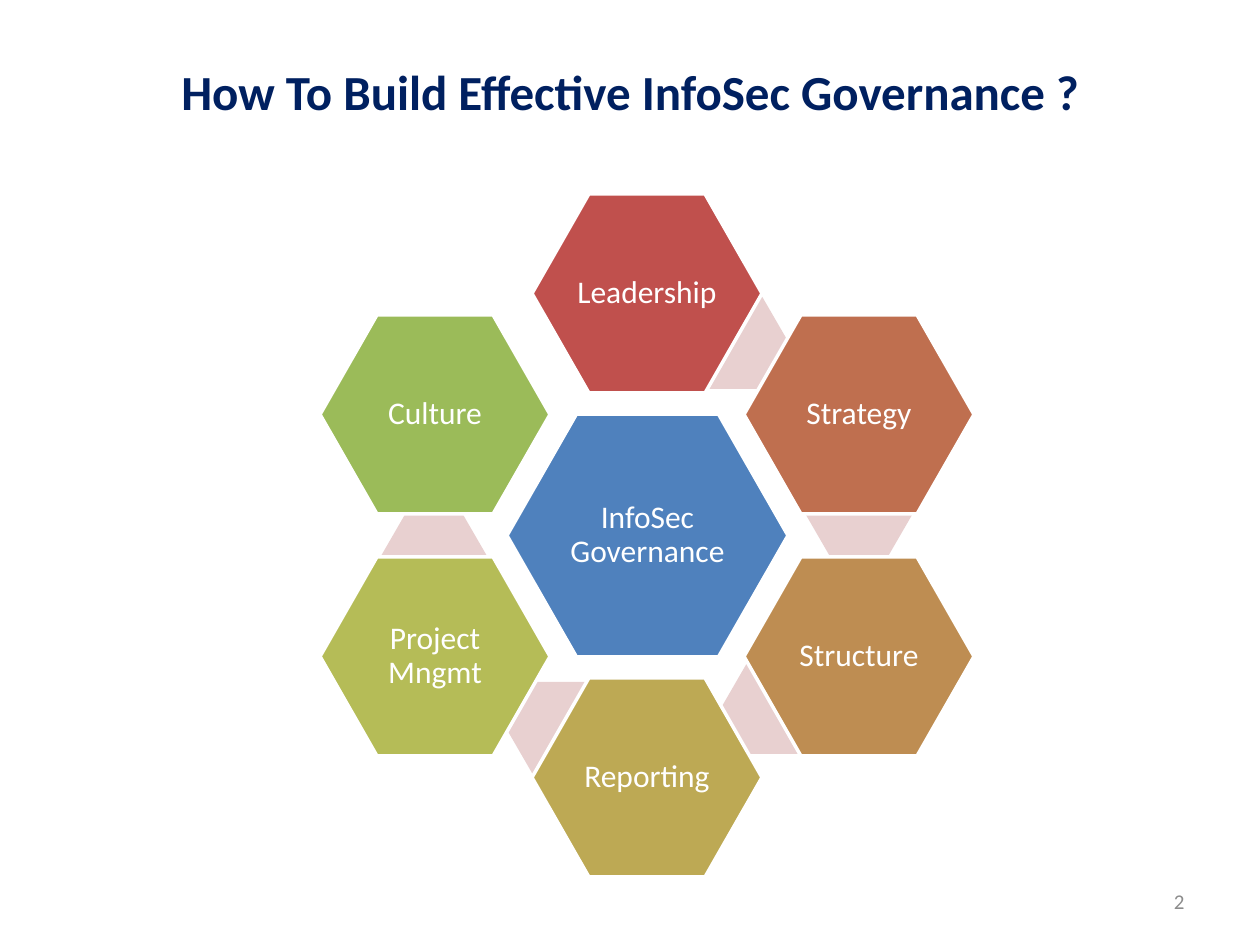
from typing import NamedTuple, Optional

from pptx import Presentation
from pptx.dml.color import RGBColor
from pptx.enum.shapes import MSO_SHAPE
from pptx.enum.text import MSO_ANCHOR, PP_ALIGN
from pptx.util import Emu, Pt

HEXAGON = MSO_SHAPE.HEXAGON
MIDDLE = MSO_ANCHOR.MIDDLE
CENTER = PP_ALIGN.CENTER
RIGHT = PP_ALIGN.RIGHT

EMU_PER_INCH = 914400
PX_PER_INCH = 126
FONT = "Calibri"

WHITE = RGBColor(0xFF, 0xFF, 0xFF)
NAVY = RGBColor(0x00, 0x20, 0x60)
GREY = RGBColor(0x8C, 0x8C, 0x8C)
BLUE = RGBColor(0x4F, 0x81, 0xBD)
PALE_ROSE = RGBColor(0xE8, 0xD0, 0xD0)
RED = RGBColor(0xC0, 0x50, 0x4D)
RUST = RGBColor(0xBF, 0x6F, 0x4F)
OCHRE = RGBColor(0xBE, 0x8D, 0x52)
MUSTARD = RGBColor(0xBD, 0xA9, 0x54)
OLIVE = RGBColor(0xB5, 0xBC, 0x57)
GREEN = RGBColor(0x9B, 0xBB, 0x59)


class Point(NamedTuple):
    x: int
    y: int


class Size(NamedTuple):
    width: int
    height: int


class Pillar(NamedTuple):
    label: str
    color: RGBColor
    column: int
    half_row: int
    link_offset: Optional[Point]


HUB = Point(647, 535)
HUB_SIZE = Size(281, 243)
PILLAR_SIZE = Size(230, 199)
LINK_SIZE = Size(106, 92)
COLUMN_STEP = 212
HALF_ROW_STEP = 121

PILLARS = [
    Pillar("Leadership", RED, 0, -2, Point(89, -192)),
    Pillar("Strategy", RUST, 1, -1, Point(212, -20)),
    Pillar("Structure", OCHRE, 1, 1, Point(127, 173)),
    Pillar("Reporting", MUSTARD, 0, 2, Point(-88, 193)),
    Pillar("Project Mngmt", OLIVE, -1, 1, Point(-213, 21)),
    Pillar("Culture", GREEN, -1, -1, None),
]


def px(length: int) -> Emu:
    return Emu(round(length * EMU_PER_INCH / PX_PER_INCH))


def add_hexagon(slide, center: Point, size: Size, color: RGBColor, slant: float):
    hexagon = slide.shapes.add_shape(
        HEXAGON,
        px(center.x - size.width // 2), px(center.y - size.height // 2),
        px(size.width), px(size.height),
    )
    hexagon.adjustments[0] = slant
    hexagon.shadow.inherit = False
    hexagon.fill.solid()
    hexagon.fill.fore_color.rgb = color
    hexagon.line.fill.background()
    return hexagon


def write(frame, text: str, points: int, color: RGBColor, align, bold: bool = False):
    frame.word_wrap = True
    frame.vertical_anchor = MIDDLE
    paragraph = frame.paragraphs[0]
    paragraph.text = text
    paragraph.alignment = align
    paragraph.font.name = FONT
    paragraph.font.size = Pt(points)
    paragraph.font.bold = bold
    paragraph.font.color.rgb = color
    return paragraph


def add_topic(slide, center: Point, size: Size, color: RGBColor, label: str) -> None:
    topic = add_hexagon(slide, center, size, color, 0.286)
    topic.line.color.rgb = WHITE
    topic.line.width = Pt(2)
    frame = topic.text_frame
    frame.margin_left = frame.margin_right = px(4)
    frame.margin_top = frame.margin_bottom = px(4)
    write(frame, label, 18, WHITE, CENTER).line_spacing = 0.9


def add_link(slide, offset: Point) -> None:
    center = Point(HUB.x + offset.x, HUB.y + offset.y)
    add_hexagon(slide, center, LINK_SIZE, PALE_ROSE, 0.289)


def main() -> None:
    presentation = Presentation()
    presentation.slide_width = px(1260)
    presentation.slide_height = px(945)
    slide = presentation.slides.add_slide(presentation.slide_layouts[6])

    page_number = slide.shapes.add_textbox(px(903), px(876), px(294), px(50))
    write(page_number.text_frame, "2", 12, GREY, RIGHT)
    title = slide.shapes.add_textbox(px(63), px(29), px(1134), px(124))
    write(title.text_frame, "How To Build Effective InfoSec Governance ?",
          28, NAVY, CENTER, bold=True)

    add_topic(slide, HUB, HUB_SIZE, BLUE, "InfoSec Governance")
    for pillar in PILLARS:
        if pillar.link_offset:
            add_link(slide, pillar.link_offset)
        center = Point(HUB.x + pillar.column * COLUMN_STEP,
                       HUB.y + pillar.half_row * HALF_ROW_STEP)
        add_topic(slide, center, PILLAR_SIZE, pillar.color, pillar.label)

    presentation.save("out.pptx")


if __name__ == "__main__":
    main()
